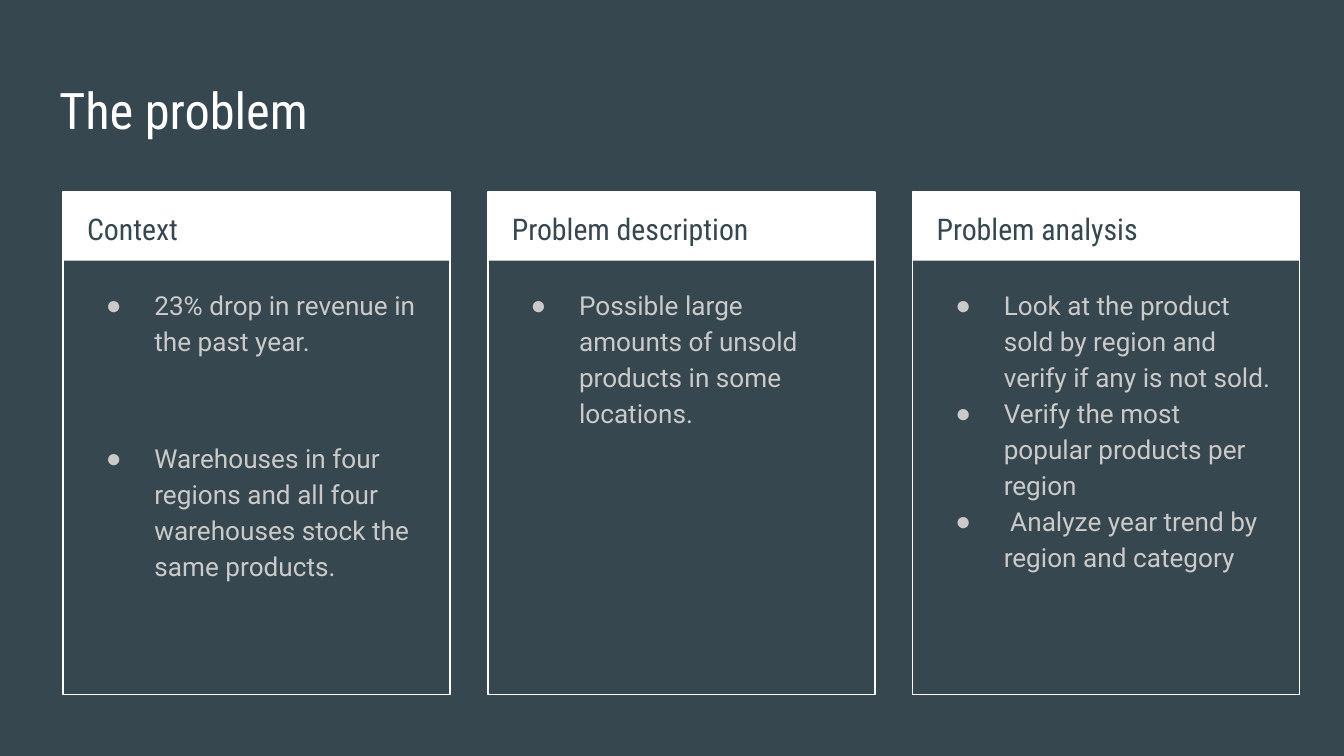
import pptx
import pptx.util
import pptx.dml.color
import pptx.enum.shapes
import pptx.enum.text
import pptx.oxml.ns
import lxml.etree
from dataclasses import dataclass
from pptx.util import Inches


@dataclass(frozen=True)
class Theme:
    slate: str = "37474F"
    white: str = "FFFFFF"
    pale: str = "CACACA"
    head: str = "Roboto Condensed"
    body: str = "Roboto"
    dot: str = "Arial"
    big: int = 27
    mid: int = 16
    small: int = 14


theme = Theme()


def color(code):
    return pptx.dml.color.RGBColor.from_string(code)


def write(box, lines, font, size, ink, space=None, gap=0, bullet=None):
    frame = box.text_frame
    frame.word_wrap = True
    frame.auto_size = pptx.enum.text.MSO_AUTO_SIZE.NONE
    frame.vertical_anchor = pptx.enum.text.MSO_ANCHOR.TOP
    frame.margin_left = frame.margin_right = Inches(0.1)
    frame.margin_top = frame.margin_bottom = Inches(0.1)
    for i, line in enumerate(lines):
        para = frame.paragraphs[0] if i == 0 else frame.add_paragraph()
        para.alignment = pptx.enum.text.PP_ALIGN.LEFT
        para.line_spacing = space
        para.space_before = pptx.util.Pt(gap if i else 0)
        run = para.add_run()
        run.text = line
        run.font.name = font
        run.font.size = pptx.util.Pt(size)
        run.font.color.rgb = color(ink)
        if bullet:
            props = para._p.get_or_add_pPr()
            props.set("marL", str(Inches(0.5)))
            props.set("indent", str(Inches(-0.36)))
            tag = pptx.oxml.ns.qn
            tint = lxml.etree.SubElement(props, tag("a:buClr"))
            lxml.etree.SubElement(tint, tag("a:srgbClr"), val=ink)
            lxml.etree.SubElement(props, tag("a:buFont"), typeface=theme.dot)
            lxml.etree.SubElement(props, tag("a:buChar"), char=bullet)


deck = pptx.Presentation()
deck.slide_width = Inches(10)
deck.slide_height = Inches(10 * 9 / 16)
slide = deck.slides.add_slide(deck.slide_layouts[5])
slide.background.fill.solid()
slide.background.fill.fore_color.rgb = color(theme.slate)

title = slide.shapes.title
title.left, title.top = Inches(0.34), Inches(0.49)
title.width, title.height = Inches(9.32), Inches(0.63)
write(title, ["The problem"], theme.head, theme.big, theme.white)

cards = [
    ("Context", 43.3, [
        "23% drop in revenue in the past year.",
        "Warehouses in four regions and all four warehouses stock the same products.",
    ]),
    ("Problem description", 0, [
        "Possible large amounts of unsold products in some locations.",
    ]),
    ("Problem analysis", 0, [
        "Look at the product sold by region and verify if any is not sold.",
        "Verify the most popular products per region",
        " Analyze year trend by region and category",
    ]),
]
left, top, step, width = 0.47, 1.43, 3.16, 2.88
rect = pptx.enum.shapes.MSO_SHAPE.RECTANGLE

for i, (name, gap, points) in enumerate(cards):
    x = left + i * step
    card = slide.shapes.add_group_shape()
    band = card.shapes.add_shape(
        rect, Inches(x), Inches(top), Inches(width), Inches(0.51))
    band.shadow.inherit = False
    band.fill.solid()
    band.fill.fore_color.rgb = color(theme.white)
    band.line.fill.background()

    frame = card.shapes.add_shape(
        rect, Inches(x), Inches(top), Inches(width), Inches(3.74))
    frame.shadow.inherit = False
    frame.fill.background()
    frame.line.color.rgb = color(theme.white)
    frame.line.width = pptx.util.Pt(0.75)

    label = slide.shapes.add_textbox(
        Inches(x + 0.08), Inches(top), Inches(2.73), Inches(0.5))
    write(label, [name], theme.head, theme.mid, theme.slate, space=1.15)

    notes = slide.shapes.add_textbox(
        Inches(x + 0.08), Inches(2.02), Inches(2.71), Inches(3.06))
    write(notes, points, theme.body, theme.small, theme.pale,
          space=1.15, gap=gap, bullet="●")

deck.save("out.pptx")
